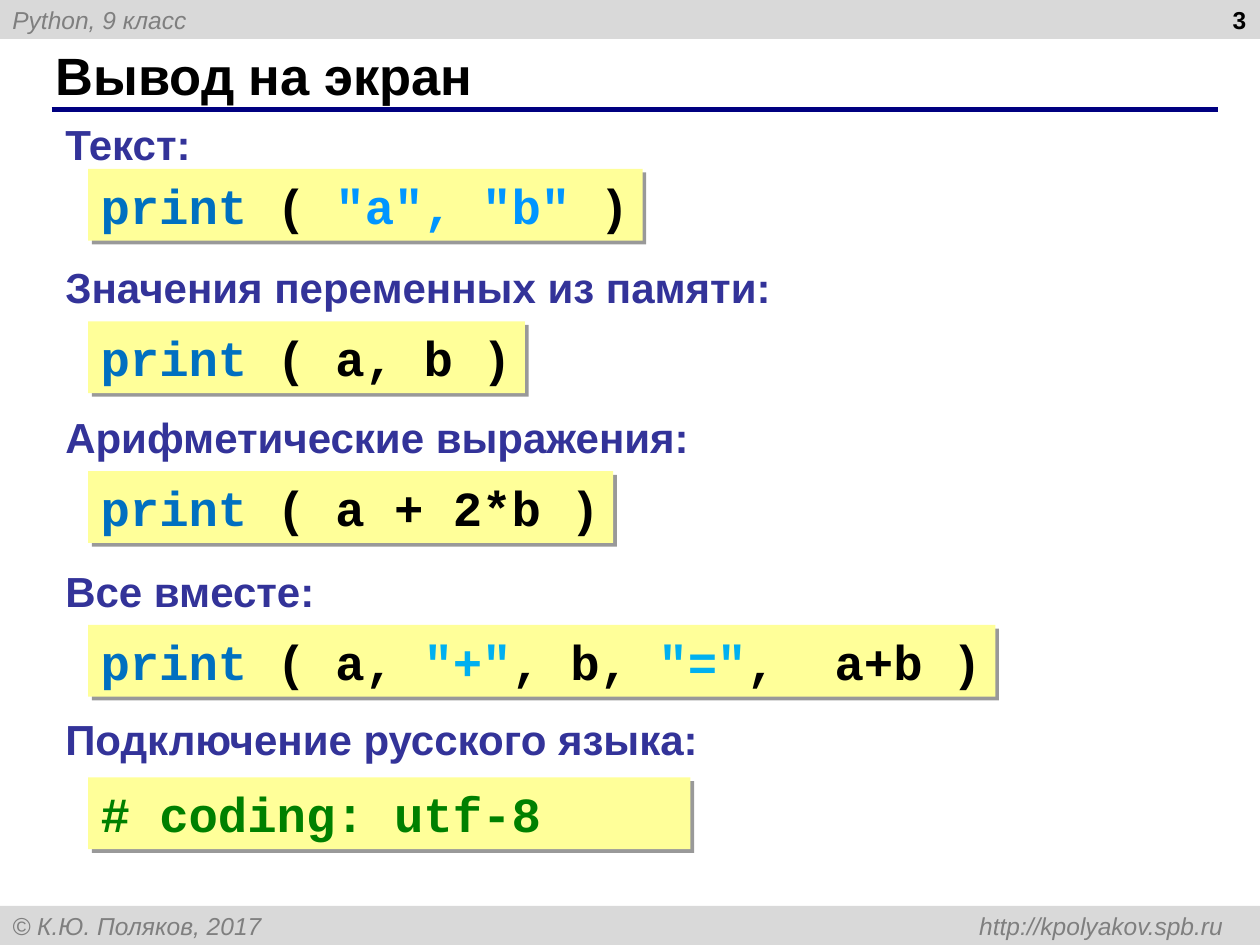
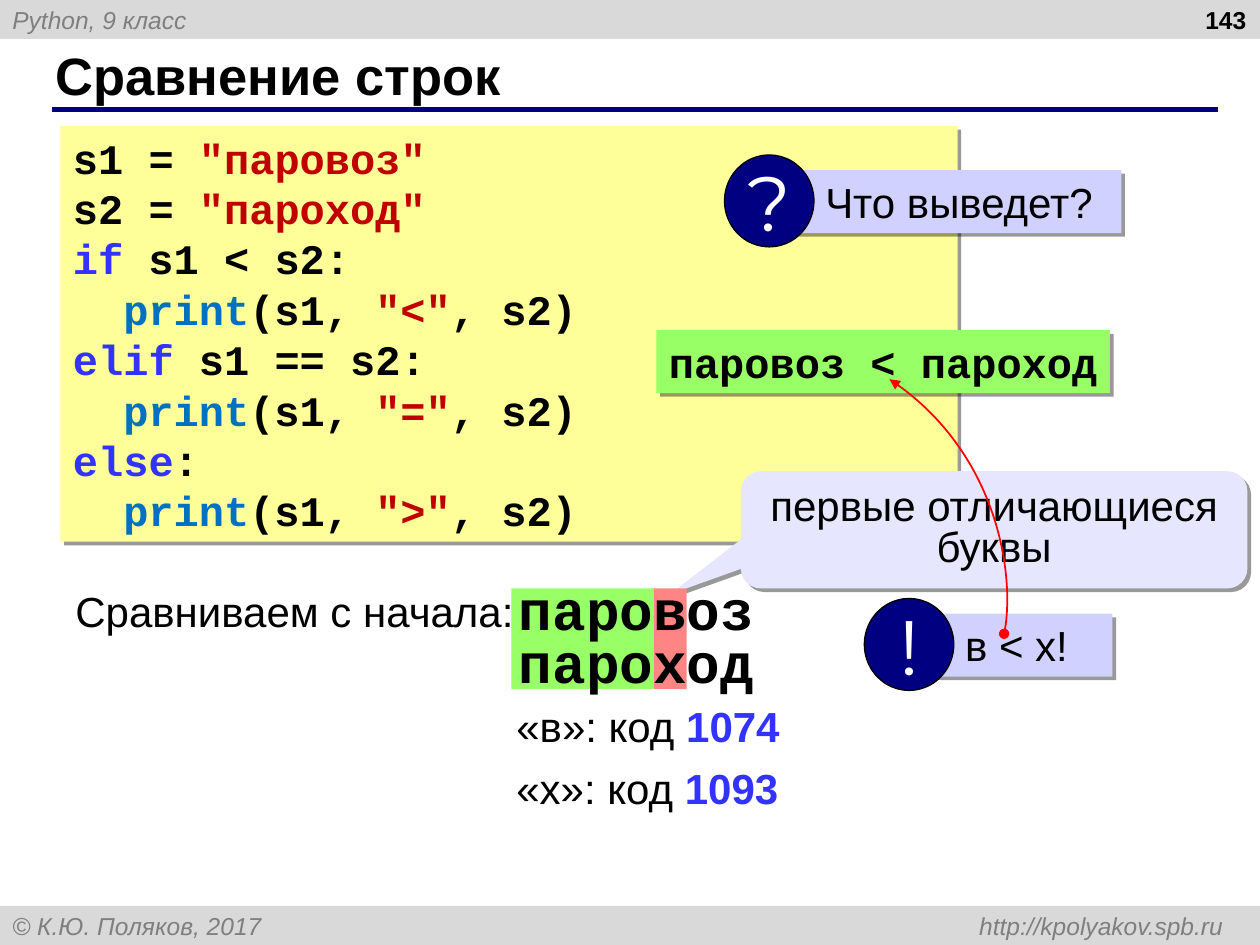
from lxml.etree import SubElement
from pptx import Presentation
from pptx.dml.color import RGBColor
from pptx.enum.shapes import MSO_CONNECTOR, MSO_SHAPE as SHAPE
from pptx.enum.text import MSO_ANCHOR as ANCHOR, MSO_AUTO_SIZE, PP_ALIGN as ALIGN
from pptx.oxml.ns import qn
from pptx.util import Inches, Pt

# Shared look
BLACK, WHITE, NAVY, RED = "000000", "FFFFFF", "000080", "FF0000"
BAND, BAND_TEXT, LABEL = "D9D9D9", "7F7F7F", "333399"
YELLOW, GREEN, PINK, LILAC, PALE = "FFFF99", "99FF66", "FF8585", "D1D1FF", "E6E6FF"
KEYWORD, FUNC, STRING, COMMENT = "3333FF", "0070C0", "C00000", "008000"
SKY, CYAN = "0095FF", "00B0F0"
SANS, MONO, ROUND = "Arial", "Courier New", "Montserrat"
BAND_H = 0.31


def rgb(color):
    return RGBColor.from_string(color)


def inches(*values):
    return [Inches(v) for v in values]


def write(shape, lines, size, font=SANS, color=BLACK, bold=False, italic=False,
          align=ALIGN.LEFT, anchor=ANCHOR.TOP, wrap=False, spacing=None, left=0.1):
    """Fill a shape with lines; each line is a list of (text, colour, bold) runs."""
    tf = shape.text_frame
    tf.auto_size = MSO_AUTO_SIZE.NONE
    tf.word_wrap = wrap
    tf.vertical_anchor = anchor
    tf.margin_left, tf.margin_right = inches(left, 0.1)
    tf.margin_top = tf.margin_bottom = Inches(0.05)
    for i, line in enumerate(lines):
        p = tf.add_paragraph() if i else tf.paragraphs[0]
        p.alignment = align
        if spacing:
            p.line_spacing = spacing
        for text, *style in [(line,)] if isinstance(line, str) else line:
            r = p.add_run()
            r.text = text
            r.font.name, r.font.size = font, Pt(size)
            r.font.bold = style[1] if len(style) > 1 else bold
            r.font.italic = italic
            r.font.color.rgb = rgb(style[0] if style else color)
    return tf


def add_text(shapes, box, lines, size, **style):
    return write(shapes.add_textbox(*inches(*box)), lines, size, **style)


def add_box(shapes, box, fill, kind=SHAPE.RECTANGLE, shadow=False):
    shape = shapes.add_shape(kind, *inches(*box))
    shape.fill.solid()
    shape.fill.fore_color.rgb = rgb(fill)
    shape.line.fill.background()
    shape.shadow.inherit = False
    if shadow:
        effects = shape._element.spPr.find(qn("a:effectLst"))
        outer = SubElement(effects, qn("a:outerShdw"), blurRad="0", dist=str(Pt(3)),
                           dir="2700000", algn="tl", rotWithShape="0")
        tint = SubElement(outer, qn("a:srgbClr"), val=BLACK)
        SubElement(tint, qn("a:alpha"), val="40000")
    return shape


def add_panel(shapes, box, fill, lines, size, kind=SHAPE.RECTANGLE, **style):
    shape = add_box(shapes, box, fill, kind, shadow=True)
    write(shape, lines, size, **style)
    return shape


# Bands, title, rule and page number
def add_band(s, top, text):
    band = add_box(s.shapes, (0, top, 10, BAND_H), BAND)
    return write(band, [text], 14, color=BAND_TEXT, italic=True, anchor=ANCHOR.MIDDLE)


def start_slide(prs, title, number):
    s = prs.slides.add_slide(prs.slide_layouts[5])
    add_band(s, 0, "Python, 9 класс")
    tf = add_band(s, 7.5 - BAND_H, "© К.Ю. Поляков, 2017\thttp://kpolyakov.spb.ru")
    tabs = SubElement(tf.paragraphs[0]._p.get_or_add_pPr(), qn("a:tabLst"))
    SubElement(tabs, qn("a:tab"), pos=str(Inches(9.61)), algn="r")

    rule = s.shapes.add_connector(MSO_CONNECTOR.STRAIGHT, *inches(0.41, 0.87, 9.67, 0.87))
    rule.line.color.rgb = rgb(NAVY)
    rule.line.width = Pt(3)
    SubElement(rule._element.spPr, qn("a:effectLst"))

    head = s.shapes.title
    head.left, head.top, head.width, head.height = inches(0.34, 0.33, 9.16, 0.52)
    write(head, [title], 30, bold=True, anchor=ANCHOR.MIDDLE, wrap=True)
    add_text(s.shapes, (7.66, 0, 2.33, BAND_H), [number], 14, bold=True,
             align=ALIGN.RIGHT, anchor=ANCHOR.MIDDLE, wrap=True)
    return s


# Slide 1: labelled one-line code samples
def add_sample(s, x, label_y, code_y, label, code, width=None):
    add_text(s.shapes, (x, label_y, 6, 0.5), [label], 24, color=LABEL, bold=True)
    chars = sum(len(text) for text, *_ in code)
    width = width or 0.2 + chars * 0.6 * 28 / 72
    add_panel(s.shapes, (x + 0.28, code_y, width, 0.57), YELLOW, [code], 28,
              font=MONO, bold=True)


def build_output_slide(prs):
    s = start_slide(prs, "Вывод на экран", "3")
    call = ("print", FUNC)
    samples = [
        (0.89, 1.34, "Текст:", [call, (" ( ",), ('"a", "b"', SKY), (" )",)]),
        (2.03, 2.55, "Значения переменных из памяти:", [call, (" ( a, b )",)]),
        (3.22, 3.74, "Арифметические выражения:", [call, (" ( a + 2*b )",)]),
        (4.44, 4.96, "Все вместе:", [call, (" ( a, ",), ('"+"', CYAN), (", b, ",),
                                     ('"="', CYAN), (",  a+b )",)]),
        (5.61, 6.17, "Подключение русского языка:", [("# coding: utf-8", COMMENT)], 4.78),
    ]
    for sample in samples:
        add_sample(s, 0.42, *sample)


# Slide 2: string comparison
def add_badge(s, x, y, width, mark, text):
    """A round mark overlapping the left end of a text bar."""
    shapes = s.shapes.add_group_shape().shapes
    add_panel(shapes, (x + 0.51, y + 0.12, width, 0.5), LILAC, [text], 24, left=0.29)
    disc = add_box(shapes, (x, y, 0.71, 0.73), NAVY, SHAPE.OVAL)
    disc.line.color.rgb = rgb(BLACK)
    disc.line.width = Pt(0.75)
    write(disc, [mark], 44, font=ROUND, color=WHITE, align=ALIGN.CENTER,
          anchor=ANCHOR.MIDDLE)


def add_curved_arrow(s, start, *curve):
    builder = s.shapes.build_freeform(*inches(*start))
    builder.add_line_segments([inches(*point) for point in curve], close=False)
    arrow = builder.convert_to_shape()
    # Turn the three segments into one cubic curve
    outline = arrow._element.find(".//" + qn("a:path"))
    segments = list(outline)[1:]
    cubic = SubElement(outline, qn("a:cubicBezTo"))
    for segment in segments:
        cubic.append(segment[0])
        outline.remove(segment)
    arrow.fill.background()
    arrow.shadow.inherit = False
    arrow.line.color.rgb = rgb(RED)
    arrow.line.width = Pt(1)
    ln = arrow._element.spPr.find(qn("a:ln"))
    SubElement(ln, qn("a:headEnd"), type="oval")
    SubElement(ln, qn("a:tailEnd"), type="triangle")


def add_program(s, box):
    def output(sign):
        return [("  ",), ("print", FUNC), ("(s1, ",), (f'"{sign}"', STRING), (", s2)",)]

    lines = [
        [("s1 = ",), ('"паровоз"', STRING)],
        [("s2 = ",), ('"пароход"', STRING)],
        [("if", KEYWORD), (" s1 < s2:",)], output("<"),
        [("elif", KEYWORD), (" s1 == s2:",)], output("="),
        [("else", KEYWORD), (":",)], output(">"),
    ]
    add_panel(s.shapes, box, YELLOW, lines, 24, font=MONO, bold=True, wrap=True)


def add_word_pair(s, x, y):
    """Two words with the equal start and the first different letter marked."""
    add_box(s.shapes, (x + 1.12, y, 0.27, 0.8), PINK)
    add_box(s.shapes, (x, y, 1.13, 0.8), GREEN)
    add_text(s.shapes, (x - 0.04, y - 0.06, 2.07, 0.96), ["паровоз", "пароход"], 32,
             font=MONO, bold=True, spacing=0.8)
    for i, (letter, code) in enumerate([("в", "1074"), ("х", "1093")]):
        add_text(s.shapes, (x - 0.06, y + 0.84 + i * 0.49, 2.29, 0.5),
                 [[(f"«{letter}»: код ",), (code, KEYWORD, True)]], 24)


def build_comparison_slide(prs):
    s = start_slide(prs, "Сравнение строк", "143")
    add_program(s, (0.48, 1, 7.12, 3.3))
    add_badge(s, 5.75, 1.23, 2.64, "?", "Что выведет?")
    add_panel(s.shapes, (5.21, 2.62, 3.6, 0.5), GREEN, ["паровоз < пароход"], 24,
              font=MONO, bold=True)
    callout = add_panel(s.shapes, (5.88, 3.74, 4.02, 0.93), PALE,
                        ["первые отличающиеся буквы"], 24,
                        kind=SHAPE.ROUNDED_RECTANGULAR_CALLOUT, align=ALIGN.CENTER,
                        anchor=ANCHOR.MIDDLE, wrap=True, spacing=0.8)
    for i, value in enumerate((-0.64, 0.55, 0.17)):
        callout.adjustments[i] = value
    add_word_pair(s, 4.06, 4.67)
    add_text(s.shapes, (0.5, 4.6, 3.69, 0.5), ["Сравниваем с начала:"], 24)
    add_badge(s, 6.86, 4.75, 1.46, "!", "в < х!")
    add_curved_arrow(s, (7.97, 5.03), (8.06, 4.6), (7.91, 3.57), (7.06, 3.01))


def main():
    prs = Presentation()
    prs.slide_width, prs.slide_height = inches(10, 7.5)
    build_output_slide(prs)
    build_comparison_slide(prs)
    prs.save("out.pptx")


if __name__ == "__main__":
    main()
